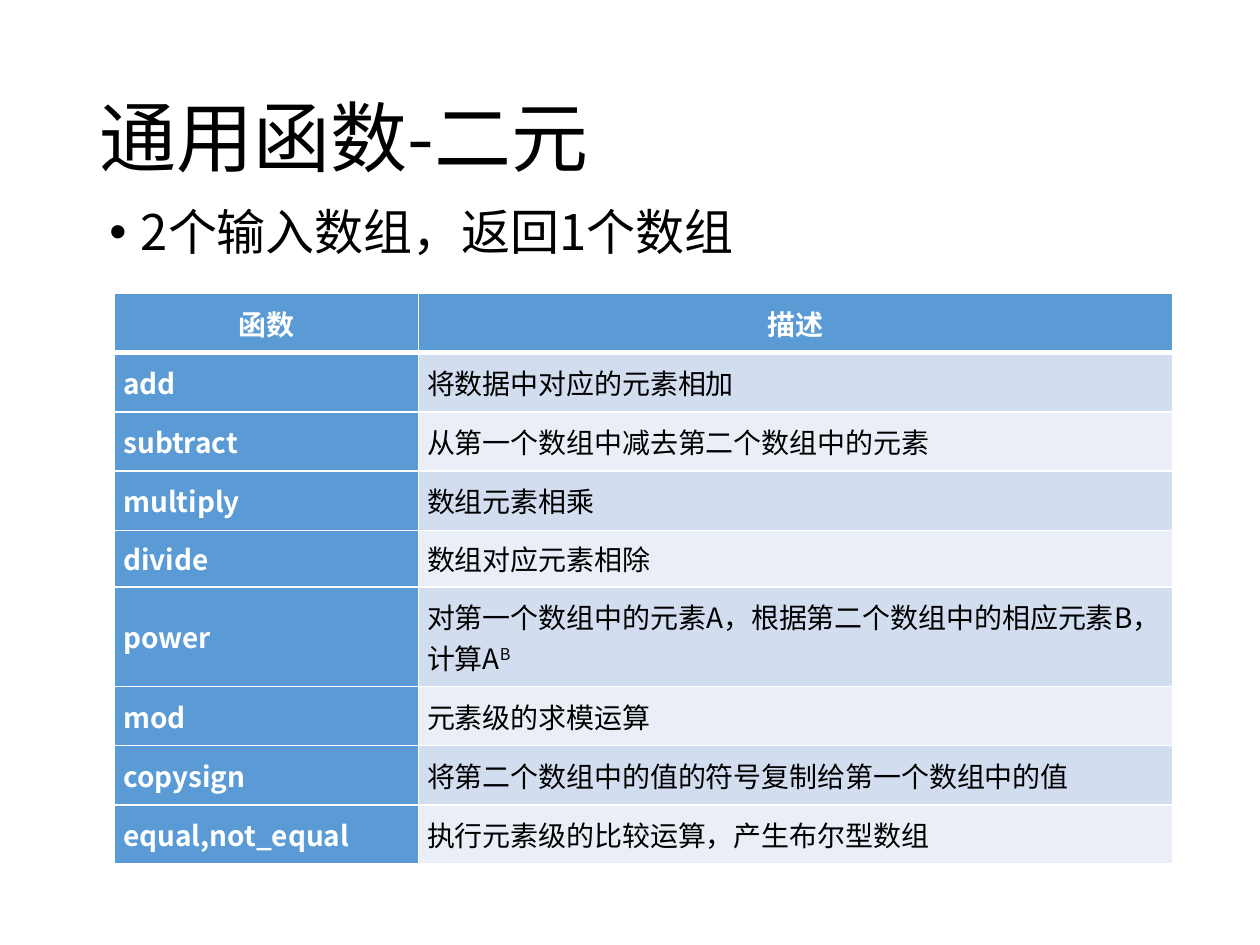
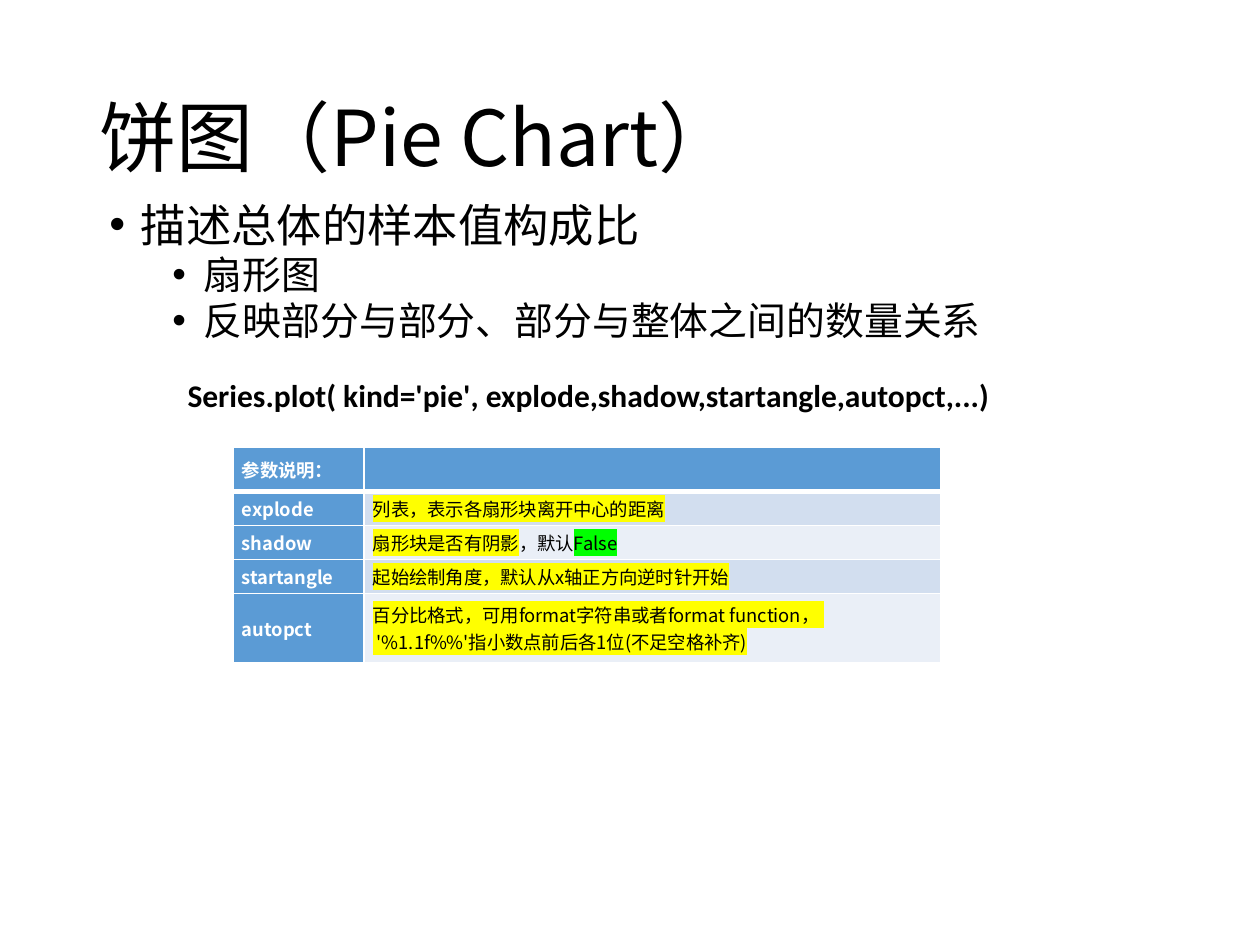
from lxml.etree import SubElement
from pptx import Presentation
from pptx.dml.color import RGBColor
from pptx.enum.text import MSO_ANCHOR, PP_ALIGN
from pptx.oxml.ns import qn
from pptx.util import Inches, Pt

CJK_FONT = "Noto Sans CJK SC"
CODE_FONT = "Calibri"
BLACK = RGBColor(0x00, 0x00, 0x00)
WHITE = RGBColor(0xFF, 0xFF, 0xFF)
BLUE = RGBColor(0x5B, 0x9B, 0xD5)
BANDS = (RGBColor(0xD2, 0xDE, 0xEF), RGBColor(0xEA, 0xEF, 0xF7))
YELLOW = RGBColor(0xFF, 0xFF, 0x00)
GREEN = RGBColor(0x00, 0xFF, 0x00)

BINARY_TITLE = "通用函数-二元"
BINARY_POINTS = [("2个输入数组，返回1个数组", 0)]
BINARY_HEADER = ("函数", "描述")
BINARY_FUNCTIONS = [
    ("add", "将数据中对应的元素相加"),
    ("subtract", "从第一个数组中减去第二个数组中的元素"),
    ("multiply", "数组元素相乘"),
    ("divide", "数组对应元素相除"),
    ("power", [[("对第一个数组中的元素A，根据第二个数组中的相应元素B，计算A", {}),
                ("B", {"baseline": 30000})]]),
    ("mod", "元素级的求模运算"),
    ("copysign", "将第二个数组中的值的符号复制给第一个数组中的值"),
    ("equal,not_equal", "执行元素级的比较运算，产生布尔型数组"),
]

PIE_TITLE = "饼图（Pie Chart）"
PIE_POINTS = [
    ("描述总体的样本值构成比", 0),
    ("扇形图", 1),
    ("反映部分与部分、部分与整体之间的数量关系", 1),
]
PIE_CALL = "Series.plot( kind='pie', explode,shadow,startangle,autopct,...)"
PIE_HEADER = ("参数说明：", "")
MARKED = {"highlight": YELLOW}
PIE_PARAMETERS = [
    ("explode", [[("列表，表示各扇形块离开中心的距离", MARKED)]]),
    ("shadow", [[("扇形块是否有阴影", MARKED), ("，默认", {}),
                 ("False", {"highlight": GREEN})]]),
    ("startangle", [[("起始绘制角度，默认从x轴正方向逆时针开始", MARKED)]]),
    ("autopct", [[("百分比格式，可用format字符串或者format function， ", MARKED)],
                 [(" '%1.1f%%'指小数点前后各1位(不足空格补齐)", MARKED)]]),
]


def add_run(paragraph, text, size, color=BLACK, bold=False, font=CJK_FONT,
            highlight=None, baseline=None):
    run = paragraph.add_run()
    run.text = text
    run.font.size = Pt(size)
    run.font.bold = bold
    run.font.color.rgb = color
    run.font.name = font
    properties = run.font._element
    SubElement(properties, qn("a:ea"), typeface=font)
    if baseline:
        properties.set("baseline", str(baseline))
    if highlight is not None:
        mark = SubElement(properties, qn("a:highlight"))
        SubElement(mark, qn("a:srgbClr"), val=str(highlight))
        properties.find(qn("a:solidFill")).addnext(mark)


def add_text_frame(slide, left, top, width, height):
    box = slide.shapes.add_textbox(Inches(left), Inches(top), Inches(width), Inches(height))
    box.text_frame.word_wrap = True
    return box.text_frame


def paragraph_at(text_frame, index):
    return text_frame.add_paragraph() if index else text_frame.paragraphs[0]


def set_indent(paragraph, margin, first_line):
    properties = paragraph._p.get_or_add_pPr()
    properties.set("marL", str(Inches(margin)))
    properties.set("indent", str(Inches(first_line)))
    return properties


def add_title(slide, title):
    text_frame = add_text_frame(slide, 0.69, 0.4, 8.62, 1.45)
    text_frame.vertical_anchor = MSO_ANCHOR.MIDDLE
    paragraph = text_frame.paragraphs[0]
    paragraph.line_spacing = 0.9
    add_run(paragraph, title, 44)


def add_points(slide, points, width, height, sizes, line_spacing):
    text_frame = add_text_frame(slide, 0.77, 1.6, width, height)
    for index, (text, level) in enumerate(points):
        paragraph = paragraph_at(text_frame, index)
        paragraph.level = level
        paragraph.line_spacing = line_spacing
        paragraph.space_before = Pt(5 if level else 10)
        properties = set_indent(paragraph, 0.25 + 0.5 * level, -0.25)
        SubElement(properties, qn("a:buFont"), typeface="Arial")
        SubElement(properties, qn("a:buChar"), char="•")
        add_run(paragraph, text, sizes[level])


def set_borders(cell, row_index):
    thick_side = {0: "lnB", 1: "lnT"}.get(row_index)
    properties = cell._tc.get_or_add_tcPr()
    for position, side in enumerate(("lnL", "lnR", "lnT", "lnB")):
        width = Pt(3 if side == thick_side else 1)
        line = SubElement(properties, qn(f"a:{side}"), w=str(width))
        fill = SubElement(line, qn("a:solidFill"))
        SubElement(fill, qn("a:srgbClr"), val=str(WHITE))
        properties.insert(position, line)


def fill_cell(cell, content, row_index, column_index, size, alignment):
    is_heading = row_index == 0 or column_index == 0
    cell.fill.solid()
    cell.fill.fore_color.rgb = BLUE if is_heading else BANDS[(row_index - 1) % 2]
    cell.vertical_anchor = MSO_ANCHOR.MIDDLE
    cell.margin_left = cell.margin_right = Inches(0.07)
    cell.margin_top = cell.margin_bottom = 0
    set_borders(cell, row_index)
    paragraphs = [[(content, {})]] if isinstance(content, str) else content
    for index, runs in enumerate(paragraphs):
        paragraph = paragraph_at(cell.text_frame, index)
        paragraph.alignment = alignment
        for text, style in runs:
            add_run(paragraph, text, size, WHITE if is_heading else BLACK, is_heading, **style)


def add_grid(slide, rows, left, top, widths, heights, size, header_alignment, body_alignment):
    frame = slide.shapes.add_table(len(rows), len(widths), Inches(left), Inches(top),
                                   Inches(sum(widths)), Inches(sum(heights)))
    table = frame.table
    for column, width in zip(table.columns, widths):
        column.width = Inches(width)
    for row_index, (contents, height) in enumerate(zip(rows, heights)):
        table.rows[row_index].height = Inches(height)
        alignment = body_alignment if row_index else header_alignment
        for column_index, content in enumerate(contents):
            fill_cell(table.cell(row_index, column_index), content,
                      row_index, column_index, size, alignment)


def add_call(slide, call):
    paragraph = add_text_frame(slide, 0.77, 2.86, 7.78, 0.45).paragraphs[0]
    paragraph.line_spacing = 1.25
    paragraph.space_before = paragraph.space_after = Pt(6)
    set_indent(paragraph, 0, 0.62)
    add_run(paragraph, call, 18, bold=True, font=CODE_FONT)


def add_slide(presentation, title):
    slide = presentation.slides.add_slide(presentation.slide_layouts[6])
    add_title(slide, title)
    return slide


def main():
    presentation = Presentation()
    presentation.slide_width = Inches(10)
    presentation.slide_height = Inches(7.5)

    binary_slide = add_slide(presentation, BINARY_TITLE)
    add_points(binary_slide, BINARY_POINTS, 5.49, 0.57, (28,), 0.9)
    add_grid(binary_slide, [BINARY_HEADER] + BINARY_FUNCTIONS, 0.91, 2.33, (2.41, 5.99),
             [0.47] * 4 + [0.45, 0.79] + [0.47] * 3, 16, PP_ALIGN.CENTER, PP_ALIGN.LEFT)

    pie_slide = add_slide(presentation, PIE_TITLE)
    add_points(pie_slide, PIE_POINTS, 8.34, 1.19, (25.9, 22.2), 0.8)
    add_call(pie_slide, PIE_CALL)
    add_grid(pie_slide, [PIE_HEADER] + PIE_PARAMETERS, 1.85, 3.55, (1.04, 4.58),
             [0.35] + [0.27] * 3 + [0.55], 10.5, PP_ALIGN.JUSTIFY, PP_ALIGN.JUSTIFY)

    presentation.save("out.pptx")


if __name__ == "__main__":
    main()
